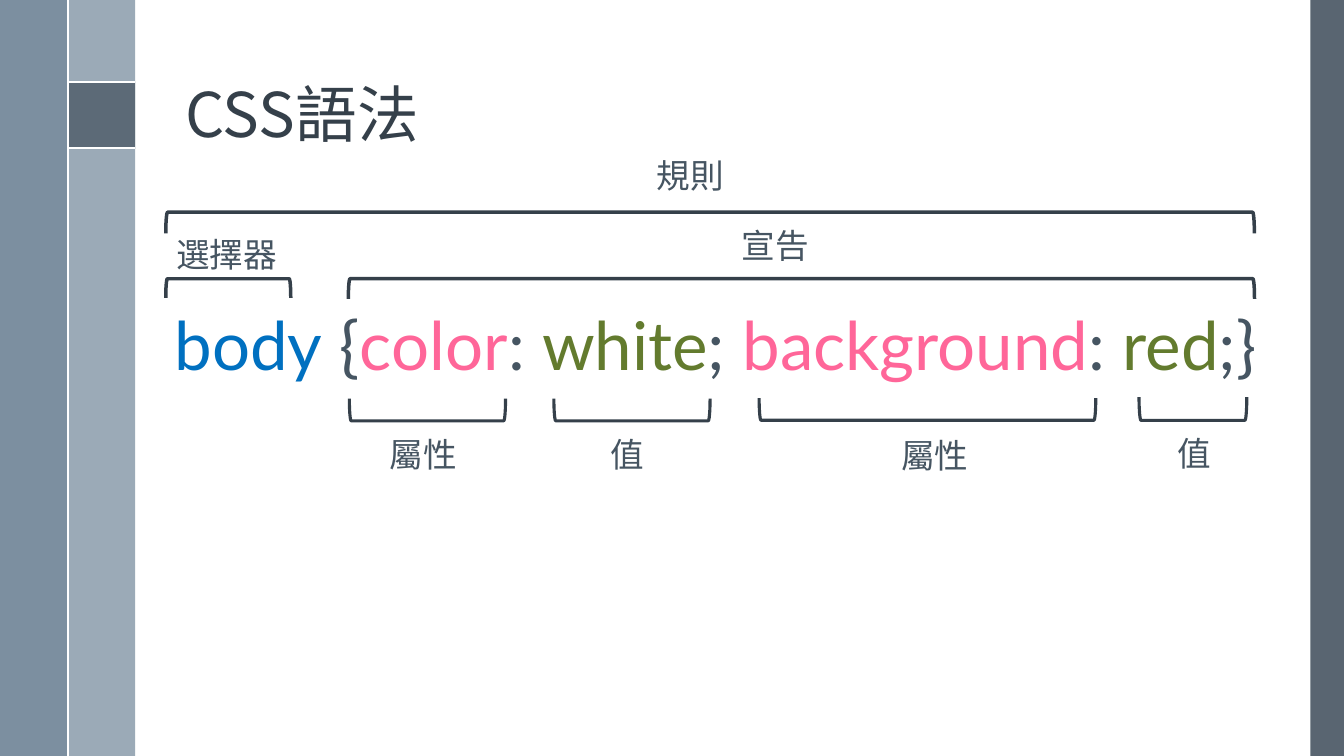
from dataclasses import dataclass

from lxml.etree import SubElement
from pptx import Presentation
from pptx.dml.color import RGBColor
from pptx.enum.shapes import MSO_CONNECTOR, MSO_SHAPE
from pptx.enum.text import MSO_ANCHOR, MSO_AUTO_SIZE, PP_ALIGN
from pptx.oxml.ns import qn
from pptx.util import Pt

SLIDE_WIDTH, SLIDE_HEIGHT = 960, 540
DARK, TEXT, WHITE = "35404A", "465562", "FFFFFF"
SELECTOR, PROPERTY, VALUE = "0070C0", "FF6699", "637B2E"
LATIN, CHINESE = "Lato", "Noto Sans CJK TC"


@dataclass(frozen=True)
class Panel:
    left: float
    top: float
    width: float
    height: float
    color: str
    opacity: int = 100


@dataclass(frozen=True)
class Rule:
    start: tuple[float, float]
    end: tuple[float, float]


@dataclass(frozen=True)
class Run:
    text: str
    color: str = TEXT


@dataclass(frozen=True)
class TextBlock:
    left: float
    top: float
    width: float
    height: float
    runs: tuple[Run, ...]
    size: float
    font: str = LATIN
    frame_format: tuple = (("word_wrap", True), ("auto_size", MSO_AUTO_SIZE.SHAPE_TO_FIT_TEXT))
    paragraph_format: tuple = ()


@dataclass(frozen=True)
class Bracket:
    """A horizontal bracket given by its visible box, with its label."""
    left: float
    top: float
    width: float
    height: float
    kind: MSO_SHAPE
    weight: float
    label: str
    label_left: float
    label_top: float
    label_width: float


ABOVE = (MSO_SHAPE.LEFT_BRACKET, 2.5)
BELOW = (MSO_SHAPE.RIGHT_BRACKET, 2.25)

PANELS = [
    Panel(936, 0, 24, SLIDE_HEIGHT, "475562", 90),
    Panel(48.6, 0, 48, SLIDE_HEIGHT, "9BAAB7"),
    Panel(0, 0, 48, SLIDE_HEIGHT, "6A8093", 88),
    Panel(48.6, 58.3, 48, 48, "475562", 75),
]
RULES = [
    Rule((48.6, 58.3), (96.6, 58.3)),
    Rule((48.6, 106), (96.6, 106)),
    Rule((48.6, 0), (48.6, SLIDE_HEIGHT)),
]
TITLE = TextBlock(
    125.3, 13.7, 770.4, 97.9, (Run("CSS語法", DARK),), 44, CHINESE,
    (("word_wrap", True), ("vertical_anchor", MSO_ANCHOR.BOTTOM)), (("line_spacing", 0.9),),
)
CODE = TextBlock(
    98.6, 213.1, 825.1, 65.5,
    (Run("body", SELECTOR), Run(" {"), Run("color", PROPERTY), Run(": "),
     Run("white", VALUE), Run("; "), Run("background", PROPERTY), Run(": "),
     Run("red", VALUE), Run(";}")),
    48,
    frame_format=(("word_wrap", False), ("auto_size", MSO_AUTO_SIZE.SHAPE_TO_FIT_TEXT)),
    paragraph_format=(("alignment", PP_ALIGN.CENTER),),
)
BRACKETS = [
    Bracket(248.8, 199.1, 647.3, 14.4, *ABOVE, "宣告", 522.7, 157, 82.8),
    Bracket(118.4, 151.6, 777.6, 15.1, *ABOVE, "規則", 462.2, 107.3, 97.2),
    Bracket(118.4, 199.1, 89.3, 13.7, *ABOVE, "選擇器", 118.8, 163.4, 109.4),
    Bracket(249.5, 284.8, 111.6, 15.8, *BELOW, "屬性", 271.4, 306.7, 67),
    Bracket(395.6, 284.8, 111.6, 15.8, *BELOW, "值", 429.1, 306.7, 43.9),
    Bracket(542.2, 284.4, 240.5, 15.8, *BELOW, "屬性", 636.5, 307.4, 78.5),
    Bracket(813.6, 283.7, 77, 16.6, *BELOW, "值", 833.8, 306, 51.8),
]


def color_of(hex_code: str) -> RGBColor:
    return RGBColor.from_string(hex_code)


def apply_format(target, values: dict) -> None:
    for name, value in values.items():
        setattr(target, name, value)


def draw_panel(slide, panel: Panel) -> None:
    shape = slide.shapes.add_shape(
        MSO_SHAPE.RECTANGLE, Pt(panel.left), Pt(panel.top), Pt(panel.width), Pt(panel.height))
    shape.shadow.inherit = False
    shape.line.fill.background()
    shape.fill.solid()
    shape.fill.fore_color.rgb = color_of(panel.color)
    if panel.opacity < 100:
        color_element = shape.fill._xPr.find(qn("a:solidFill"))[0]
        SubElement(color_element, qn("a:alpha"), val=str(panel.opacity * 1000))


def draw_rule(slide, rule: Rule) -> None:
    connector = slide.shapes.add_connector(
        MSO_CONNECTOR.STRAIGHT, *(Pt(value) for value in rule.start + rule.end))
    connector.line.color.rgb = color_of(WHITE)
    connector.line.width = Pt(1.5)
    SubElement(connector._element.spPr, qn("a:effectLst"))


def draw_text(slide, block: TextBlock) -> None:
    shape = slide.shapes.add_textbox(
        Pt(block.left), Pt(block.top), Pt(block.width), Pt(block.height))
    apply_format(shape.text_frame, dict(block.frame_format))
    paragraph = shape.text_frame.paragraphs[0]
    apply_format(paragraph, dict(block.paragraph_format))
    for part in block.runs:
        run = paragraph.add_run()
        run.text = part.text
        apply_format(run.font, {"name": block.font, "size": Pt(block.size)})
        run.font.color.rgb = color_of(part.color)
        # Chinese glyphs take the East Asian font
        SubElement(run.font._element, qn("a:ea"), typeface=CHINESE)


def draw_bracket(slide, bracket: Bracket) -> None:
    # The preset stands upright, so its frame is turned about the same centre
    shift = (bracket.width - bracket.height) / 2
    shape = slide.shapes.add_shape(
        bracket.kind, Pt(bracket.left + shift), Pt(bracket.top - shift),
        Pt(bracket.height), Pt(bracket.width))
    shape.rotation = 90
    shape.shadow.inherit = False
    shape.fill.background()
    shape.line.color.rgb = color_of(DARK)
    shape.line.width = Pt(bracket.weight)
    draw_text(slide, TextBlock(bracket.label_left, bracket.label_top, bracket.label_width, 36,
                               (Run(bracket.label),), 24))


def main() -> None:
    presentation = Presentation()
    apply_format(presentation, {"slide_width": Pt(SLIDE_WIDTH), "slide_height": Pt(SLIDE_HEIGHT)})
    slide = presentation.slides.add_slide(presentation.slide_layouts[6])

    # Side bands
    for panel in PANELS:
        draw_panel(slide, panel)
    for rule in RULES:
        draw_rule(slide, rule)

    # Title and code line
    draw_text(slide, TITLE)
    draw_text(slide, CODE)

    # Labelled brackets
    for bracket in BRACKETS:
        draw_bracket(slide, bracket)

    presentation.save("out.pptx")


if __name__ == "__main__":
    main()
